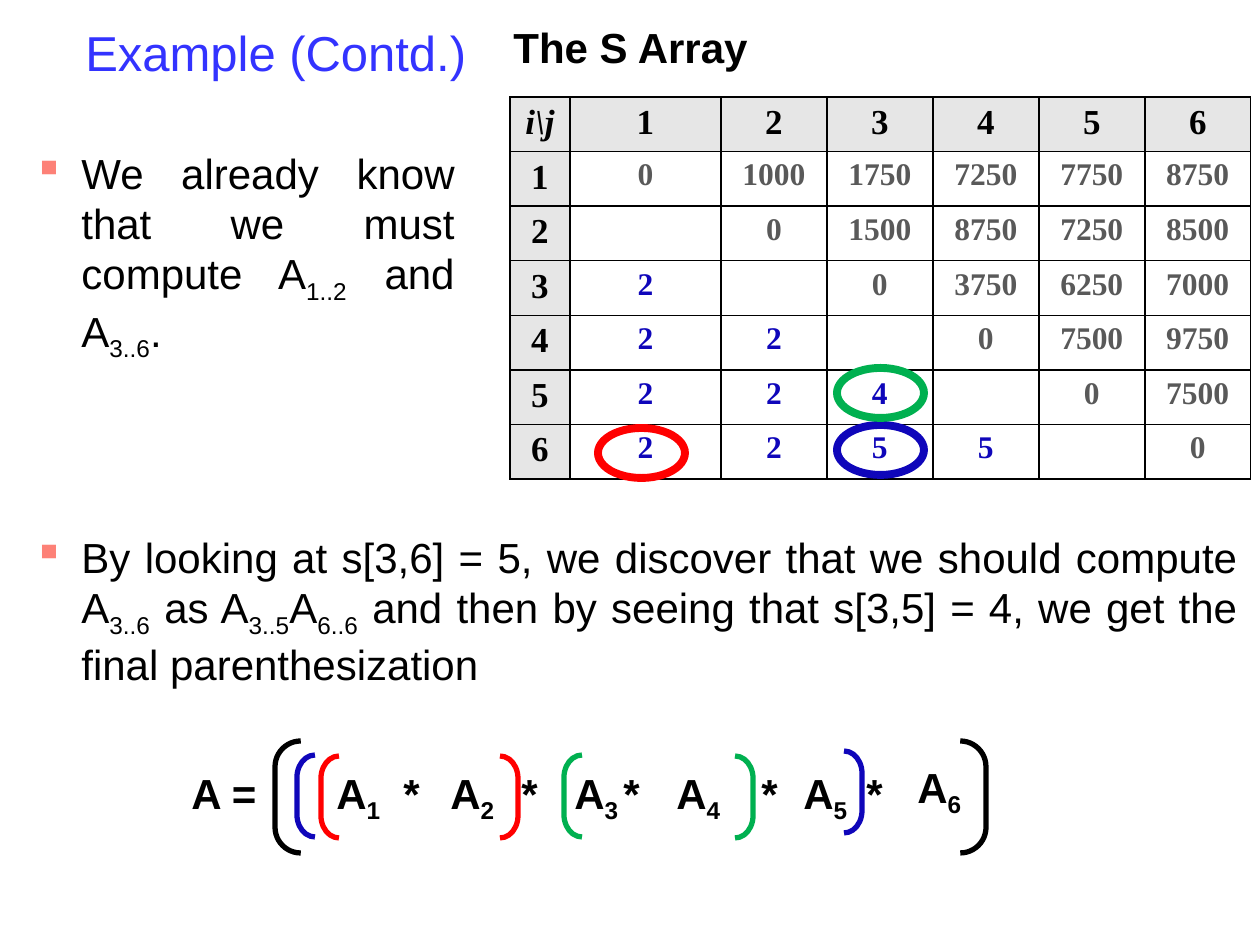
"""Build the slide that reads a matrix-chain order off the S array."""
from dataclasses import dataclass
from typing import Optional

from lxml import etree
from pptx import Presentation, util as u
from pptx.dml.color import RGBColor
from pptx.enum import shapes as s, text as t
from pptx.oxml import ns

BLACK = RGBColor(0x00, 0x00, 0x00)
GRAY = RGBColor(0x59, 0x59, 0x59)
PALE = RGBColor(0xE6, 0xE6, 0xE6)
TITLE = RGBColor(0x33, 0x33, 0xFF)
CORAL = RGBColor(0xFD, 0x81, 0x77)
RED = RGBColor(0xFF, 0x00, 0x00)
BLUE = RGBColor(0x0F, 0x06, 0xBA)
GREEN = RGBColor(0x00, 0xB0, 0x50)
SCALE = 914400 / 126
LEFT, JUST, MID = t.PP_ALIGN.LEFT, t.PP_ALIGN.JUSTIFY, t.PP_ALIGN.CENTER
OVAL = s.MSO_SHAPE.OVAL
CURVE = s.MSO_SHAPE.RIGHT_BRACKET
PAIR = s.MSO_SHAPE.DOUBLE_BRACKET


@dataclass
class Label:
    """Text in a box; every second part between bars is a subscript."""
    words: str
    left: int
    top: int
    width: int
    height: int = 63
    size: int = 24
    bold: bool = False
    color: RGBColor = BLACK
    align: t.PP_ALIGN = LEFT
    bullet: bool = False
    tab: int = 0


@dataclass
class Mark:
    """An unfilled outline shape."""
    kind: s.MSO_SHAPE
    left: int
    top: int
    width: int
    height: int
    color: RGBColor
    line: float = 3
    bend: Optional[float] = None
    flip: bool = False


def px(size: int) -> int:
    return round(size * SCALE)


def add(root, tag: str, **attrs: str):
    node = etree.SubElement(root, ns.qn(tag))
    for key, val in attrs.items():
        node.set(key, val)
    return node


def style(par, face: str, size: int, bold: bool, color: RGBColor) -> None:
    font = par.font
    font.name, font.size, font.bold = face, u.Pt(size), bold
    font.color.rgb = color


def draw_label(slide, item: Label) -> None:
    box = slide.shapes.add_textbox(
        px(item.left), px(item.top), px(item.width), px(item.height))
    frame = box.text_frame
    frame.word_wrap = True
    frame.auto_size = t.MSO_AUTO_SIZE.SHAPE_TO_FIT_TEXT
    par = frame.paragraphs[0]
    par.alignment = item.align
    props = par._p.get_or_add_pPr()
    if item.bullet:
        props.set("marL", str(px(48)))
        props.set("indent", str(-px(48)))
        add(add(props, "a:buClr"), "a:srgbClr", val=str(CORAL))
        add(props, "a:buChar", char="▪")
    if item.tab:
        add(add(props, "a:tabLst"), "a:tab", pos=str(px(item.tab)), algn="l")
    style(par, "Arial", item.size, item.bold, item.color)
    for i, part in enumerate(item.words.split("|")):
        run = par.add_run()
        run.text = part
        if i % 2:
            run._r.get_or_add_rPr().set("baseline", "-25000")


def draw_mark(slide, item: Mark) -> None:
    shape = slide.shapes.add_shape(
        item.kind, px(item.left), px(item.top), px(item.width), px(item.height))
    shape.shadow.inherit = False
    shape.fill.background()
    shape.line.color.rgb = item.color
    shape.line.width = u.Pt(item.line)
    if item.bend is not None:
        shape.adjustments[0] = item.bend
    if item.flip:
        shape.element.spPr.xfrm.set("flipH", "1")


def draw_cell(cell, words: str, row: int, col: int) -> None:
    head = row == 0 or col == 0
    if head:
        cell.fill.solid()
        cell.fill.fore_color.rgb = PALE
    else:
        cell.fill.background()
    props = cell._tc.get_or_add_tcPr()
    for i, side in enumerate(("a:lnL", "a:lnR", "a:lnT", "a:lnB")):
        edge = add(props, side, w=str(u.Pt(1)))
        add(add(edge, "a:solidFill"), "a:srgbClr", val=str(BLACK))
        props.insert(i, edge)
    par = cell.text_frame.paragraphs[0]
    par.alignment = MID
    color = BLACK if head else BLUE if col < row else GRAY
    big = head and (row, col) != (1, 1)
    style(par, "Times New Roman", 20 if big else 18, True, color)
    par.font.italic = row == col == 0
    if words:
        par.add_run().text = words


def draw_grid(slide, rows: list[list[str]]) -> None:
    count = len(rows)
    wide = [60, 151] + [106] * (count - 2)
    high = px(382)
    grid = slide.shapes.add_table(
        count, count, px(510), px(97), px(sum(wide)), high).table
    grid.first_row = grid.horz_banding = False
    for i, size in enumerate(wide):
        grid.columns[i].width = px(size)
        grid.rows[i].height = high // count
    for r, row in enumerate(rows):
        for c, words in enumerate(row):
            draw_cell(grid.cell(r, c), words, r, c)


ROWS = [
    ["i\\j", "1", "2", "3", "4", "5", "6"],
    ["1", "0", "1000", "1750", "7250", "7750", "8750"],
    ["2", "", "0", "1500", "8750", "7250", "8500"],
    ["3", "2", "", "0", "3750", "6250", "7000"],
    ["4", "2", "2", "", "0", "7500", "9750"],
    ["5", "2", "2", "4", "", "0", "7500"],
    ["6", "2", "2", "5", "5", "", "0"],
]
LABELS = [
    Label("The S Array", 501, 15, 321, bold=True, align=JUST),
    Label("Example (Contd.)", 73, 16, 514, 72, size=28, color=TITLE),
    Label("We already know that we must compute A|1..2| and A|3..6|.",
          21, 141, 446, 217, align=JUST, bullet=True),
    Label("By looking at s[3,6] = 5, we discover that we should compute "
          "A|3..6| as A|3..5|A|6..6| and then by seeing that s[3,5] = 4, "
          "we get the final parenthesization",
          21, 525, 1229, 165, align=JUST, bullet=True),
]
TERMS = [
    ("A =", 179, 761, 97, 0),
    ("A|1|\t*", 324, 761, 116, 67),
    ("A|2|\t*", 438, 761, 122, 71),
    ("A|3|\t*", 562, 761, 97, 49),
    ("A|4|\t*", 664, 761, 135, 85),
    ("A|5|\t*", 791, 761, 116, 63),
    ("A|6", 905, 755, 97, 0),
]
RINGS = [(598, 428, RED), (837, 425, BLUE), (837, 368, GREEN)]
CURVES = [
    (500, 756, RED, False), (844, 751, BLUE, False), (735, 756, GREEN, False),
    (321, 756, RED, True), (297, 755, BLUE, True), (564, 755, GREEN, True),
]


def main() -> None:
    deck = Presentation()
    deck.slide_width, deck.slide_height = px(1260), px(945)
    slide = deck.slides.add_slide(deck.slide_layouts[6])
    terms = [Label(words, left, top, width, bold=True, tab=tab)
             for words, left, top, width, tab in TERMS]
    rings = [Mark(OVAL, left, top, 87, 50, color, line=4.5)
             for left, top, color in RINGS]
    curves = [Mark(CURVE, left, top, 18, 82, color, bend=1.24, flip=flip)
              for left, top, color, flip in CURVES]
    outer = Mark(PAIR, 275, 741, 711, 112, BLACK, bend=0.23)
    draw_grid(slide, ROWS)
    for item in LABELS + terms:
        draw_label(slide, item)
    for item in rings + curves + [outer]:
        draw_mark(slide, item)
    deck.save("out.pptx")


if __name__ == "__main__":
    main()
